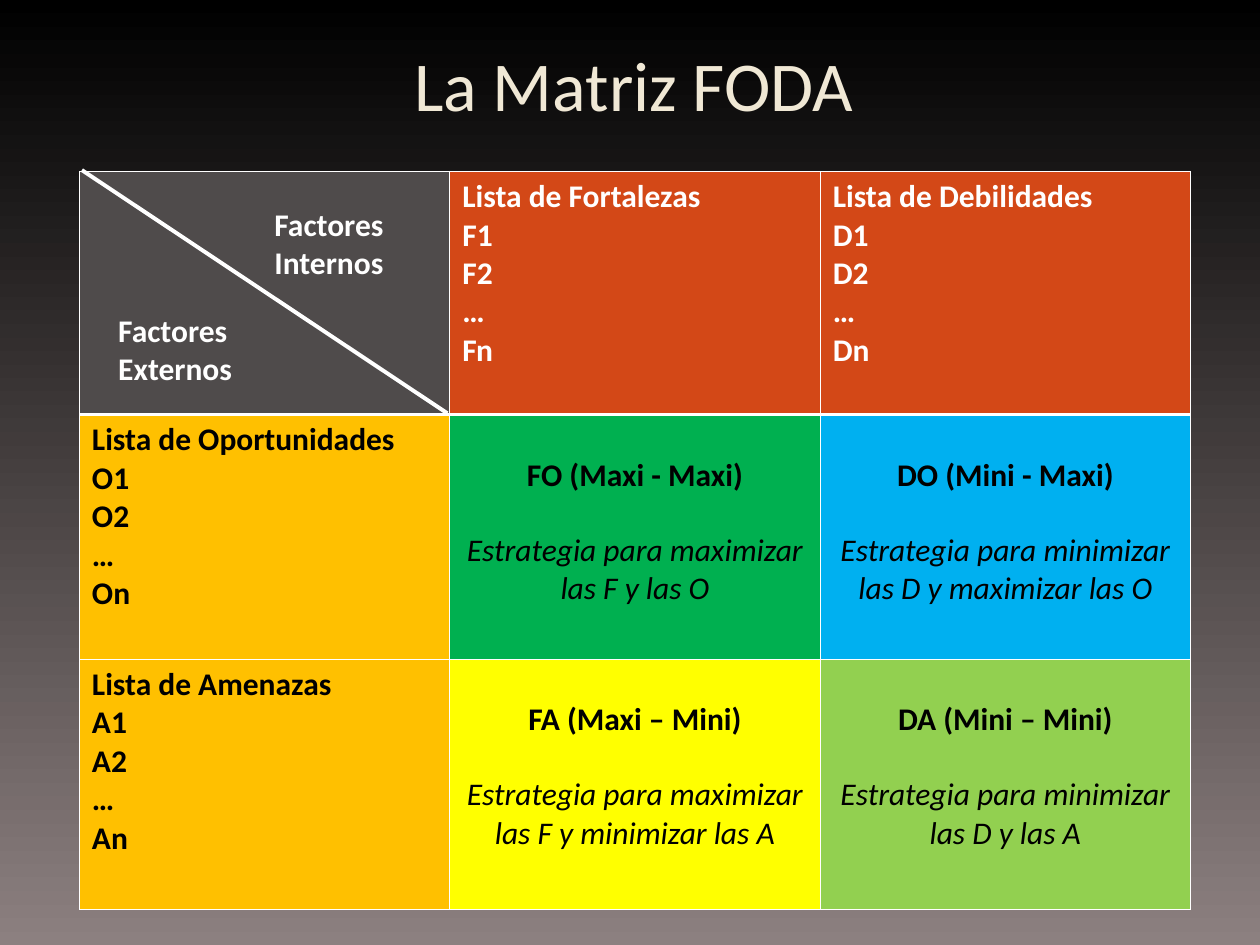
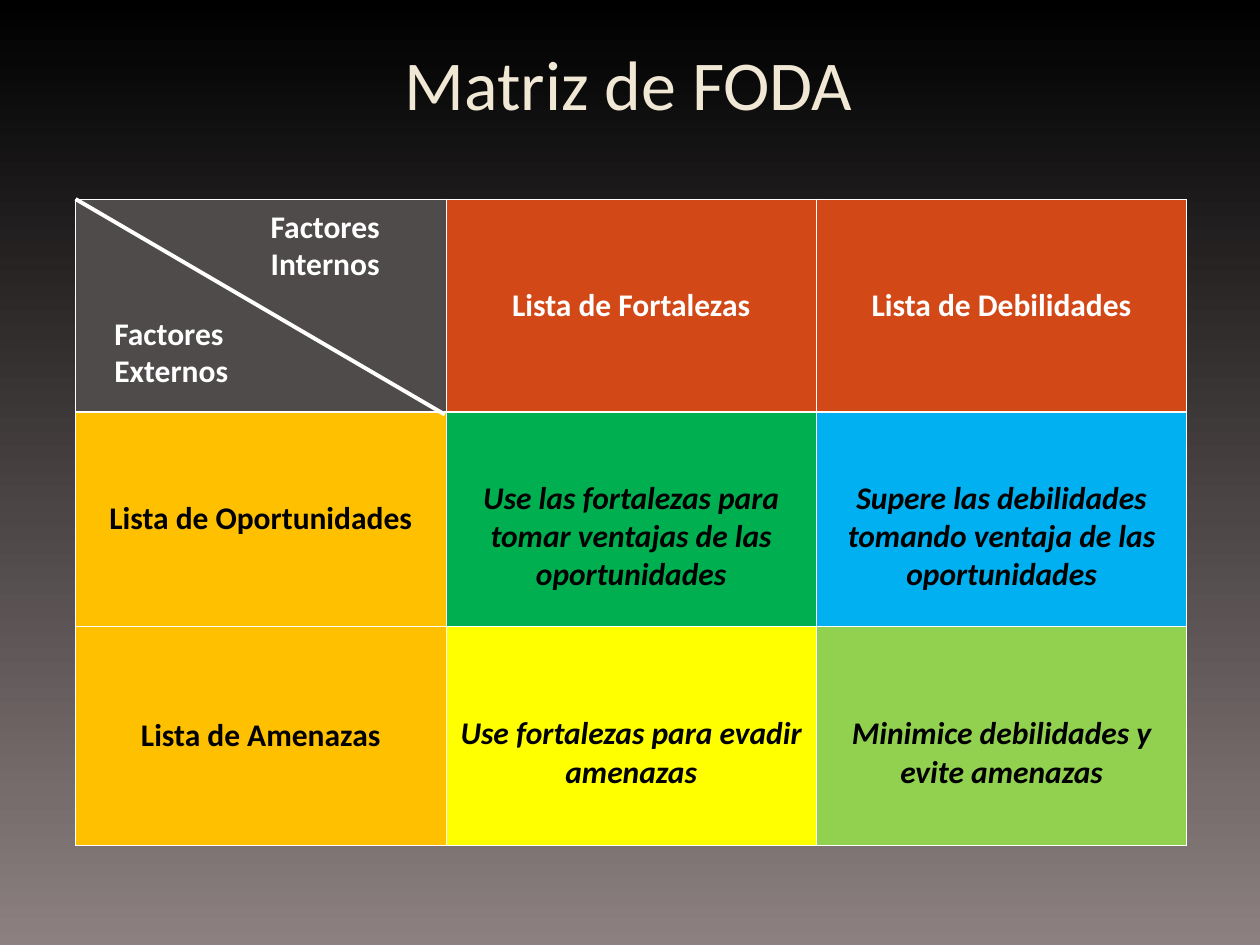
"""Build two SWOT (FODA) matrix slides with a shared title, table and corner style."""
import pptx
import pptx.dml.color
import pptx.enum.text
import pptx.enum.shapes
import pptx.oxml.ns
import pptx.util
from lxml import etree
from pptx.util import Inches, Pt

FONT = "Calibri"
COLORS = {
    "sky": "000000", "ground": "8C8080", "title": "F0E8D5",
    "white": "FFFFFF", "black": "000000", "corner": "4F4B4B",
    "internal": "D34817", "external": "FFC000",
    "FO": "00B050", "DO": "00B0F0", "FA": "FFFF00", "DA": "92D050",
}
GRID = [["corner", "internal", "internal"],
        ["external", "FO", "DO"],
        ["external", "FA", "DA"]]
QUADRANTS = ("FO", "DO", "FA", "DA")
COLUMN_WIDTH = 2.94
THIN, THICK = 0.45, 1.47
TEXT_SIZE = 18
QUADRANT_TOP = 0.33
QUADRANT_GAP = 21

ALIGN = pptx.enum.text.PP_ALIGN
ANCHOR = pptx.enum.text.MSO_ANCHOR
AUTO_SIZE = pptx.enum.text.MSO_AUTO_SIZE

BOLD, ITALIC = {"bold": True}, {"italic": True}
BOLD_ITALIC = {"bold": True, "italic": True}


def items(heading, letter):
    """Return a heading followed by its numbered entries."""
    return [(line, BOLD) for line in
            (heading, f"{letter}1", f"{letter}2", "…", f"{letter}n")]


SLIDES = [
    {
        "title": "La Matriz FODA", "title_at": (0.78, 0.28),
        "table_at": (0.63, 1.36), "rows": (1.93, 1.94, 1.99),
        "diagonal": (0.65, 1.35, 3.55, 3.28),
        "labels": [("Internos", 2.08, 1.58), ("Externos", 0.84, 2.42)],
        "centered": False,
        "cells": [
            [[], items("Lista de Fortalezas", "F"), items("Lista de Debilidades", "D")],
            [items("Lista de Oportunidades", "O"),
             [("FO (Maxi - Maxi)", BOLD),
              ("Estrategia para maximizar las F y las O", ITALIC)],
             [("DO (Mini - Maxi)", BOLD),
              ("Estrategia para minimizar las D y maximizar las O", ITALIC)]],
            [items("Lista de Amenazas", "A"),
             [("FA (Maxi – Mini)", BOLD),
              ("Estrategia para maximizar las F y minimizar las A", ITALIC)],
             [("DA (Mini – Mini)", BOLD),
              ("Estrategia para minimizar las D y las A", ITALIC)]],
        ],
    },
    {
        "title": "Matriz de FODA", "title_at": (0.74, 0.27),
        "table_at": (0.6, 1.58), "rows": (1.69, 1.7, 1.74),
        "diagonal": (0.6, 1.58, 3.53, 3.29),
        "labels": [("Internos", 2.05, 1.59), ("Externos", 0.81, 2.44)],
        "centered": True,
        "cells": [
            [[], [("Lista de Fortalezas", BOLD)], [("Lista de Debilidades", BOLD)]],
            [[("Lista de Oportunidades", BOLD)],
             [("Use las fortalezas para tomar ventajas de las oportunidades", BOLD_ITALIC)],
             [("Supere las debilidades tomando ventaja de las oportunidades", BOLD_ITALIC)]],
            [[("Lista de Amenazas", BOLD)],
             [("Use fortalezas para evadir amenazas", BOLD_ITALIC)],
             [("Minimice debilidades y evite amenazas", BOLD_ITALIC)]],
        ],
    },
]


def rgb(name):
    return pptx.dml.color.RGBColor.from_string(COLORS[name])


def write(frame, lines, color, size=TEXT_SIZE, align=ALIGN.LEFT, gap=0):
    for number, (text, style) in enumerate(lines):
        para = frame.add_paragraph() if number else frame.paragraphs[0]
        para.alignment = align
        if number:
            para.space_before = Pt(gap)
        span = para.add_run()
        span.text = text
        span.font.name = FONT
        span.font.size = Pt(size)
        span.font.bold = style.get("bold", False)
        span.font.italic = style.get("italic", False)
        span.font.color.rgb = rgb(color)


def set_borders(cell, top, bottom):
    qn = pptx.oxml.ns.qn
    properties = cell._tc.get_or_add_tcPr()
    widths = {"a:lnL": THIN, "a:lnR": THIN, "a:lnT": top, "a:lnB": bottom}
    for position, (tag, width) in enumerate(widths.items()):
        line = etree.Element(qn(tag), w=str(Pt(width)))
        fill = etree.SubElement(line, qn("a:solidFill"))
        etree.SubElement(fill, qn("a:srgbClr"), val=COLORS["white"])
        properties.insert(position, line)


def add_title(slide, text, left, top):
    title = slide.shapes.title
    title.left, title.top = Inches(left), Inches(top)
    title.width, title.height = Inches(8.5), Inches(1)
    title.text_frame.auto_size = AUTO_SIZE.NONE
    title.text_frame.vertical_anchor = ANCHOR.TOP
    write(title.text_frame, [(text, {})], "title", 40, ALIGN.CENTER)


def add_matrix(slide, content):
    left, top = content["table_at"]
    rows = content["rows"]
    table = slide.shapes.add_table(
        len(rows), 3, Inches(left), Inches(top),
        Inches(3 * COLUMN_WIDTH), Inches(sum(rows))).table
    table.first_row = table.horz_banding = False
    for column in table.columns:
        column.width = Inches(COLUMN_WIDTH)
    for r, height in enumerate(rows):
        table.rows[r].height = Inches(height)
        for c, kind in enumerate(GRID[r]):
            cell = table.cell(r, c)
            cell.fill.solid()
            cell.fill.fore_color.rgb = rgb(kind)
            set_borders(cell, THICK if r == 1 else THIN, THICK if r == 0 else THIN)
            quadrant = kind in QUADRANTS
            if quadrant:
                cell.margin_top = Inches(QUADRANT_TOP)
            if content["centered"]:
                cell.vertical_anchor = ANCHOR.MIDDLE
            write(cell.text_frame, content["cells"][r][c],
                  "black" if r else "white",
                  align=ALIGN.CENTER if quadrant or content["centered"] else ALIGN.LEFT,
                  gap=QUADRANT_GAP if quadrant else 0)


def add_corner(slide, content):
    diagonal = slide.shapes.add_connector(
        pptx.enum.shapes.MSO_CONNECTOR.STRAIGHT,
        *[Inches(value) for value in content["diagonal"]])
    diagonal.line.color.rgb = rgb("white")
    diagonal.line.width = Pt(2.25)
    etree.SubElement(diagonal._element.spPr, pptx.oxml.ns.qn("a:effectLst"))
    for word, left, top in content["labels"]:
        box = slide.shapes.add_textbox(Inches(left), Inches(top), Inches(1.3), Inches(0.7))
        box.text_frame.word_wrap = False
        box.text_frame.auto_size = AUTO_SIZE.SHAPE_TO_FIT_TEXT
        write(box.text_frame, [("Factores", BOLD), (word, BOLD)], "white")


def main():
    deck = pptx.Presentation()
    deck.slide_width, deck.slide_height = Inches(10), Inches(7.5)
    backdrop = deck.slide_master.background.fill
    backdrop.gradient()
    backdrop.gradient_angle = 270
    for stop, name in zip(backdrop.gradient_stops, ("sky", "ground")):
        stop.color.rgb = rgb(name)
    for content in SLIDES:
        slide = deck.slides.add_slide(deck.slide_layouts[5])
        add_title(slide, content["title"], *content["title_at"])
        add_matrix(slide, content)
        add_corner(slide, content)
    deck.save("out.pptx")


if __name__ == "__main__":
    main()
